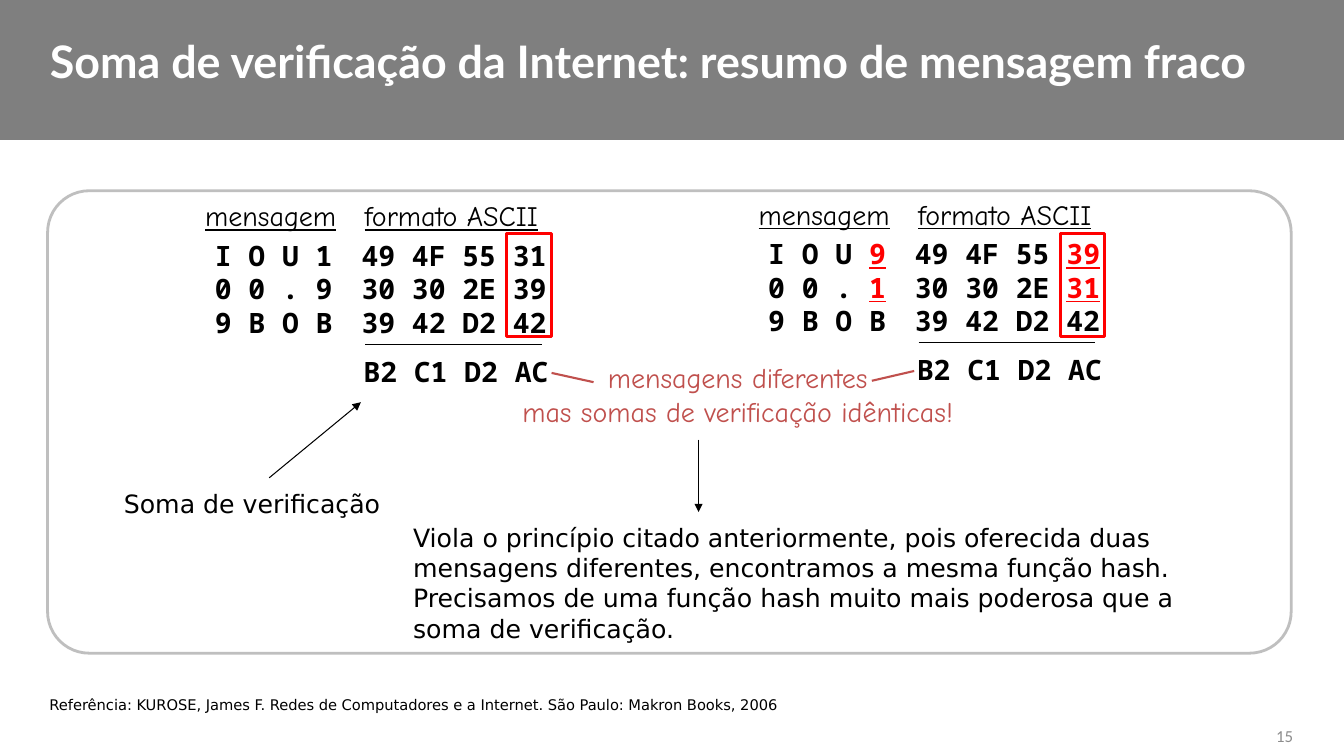
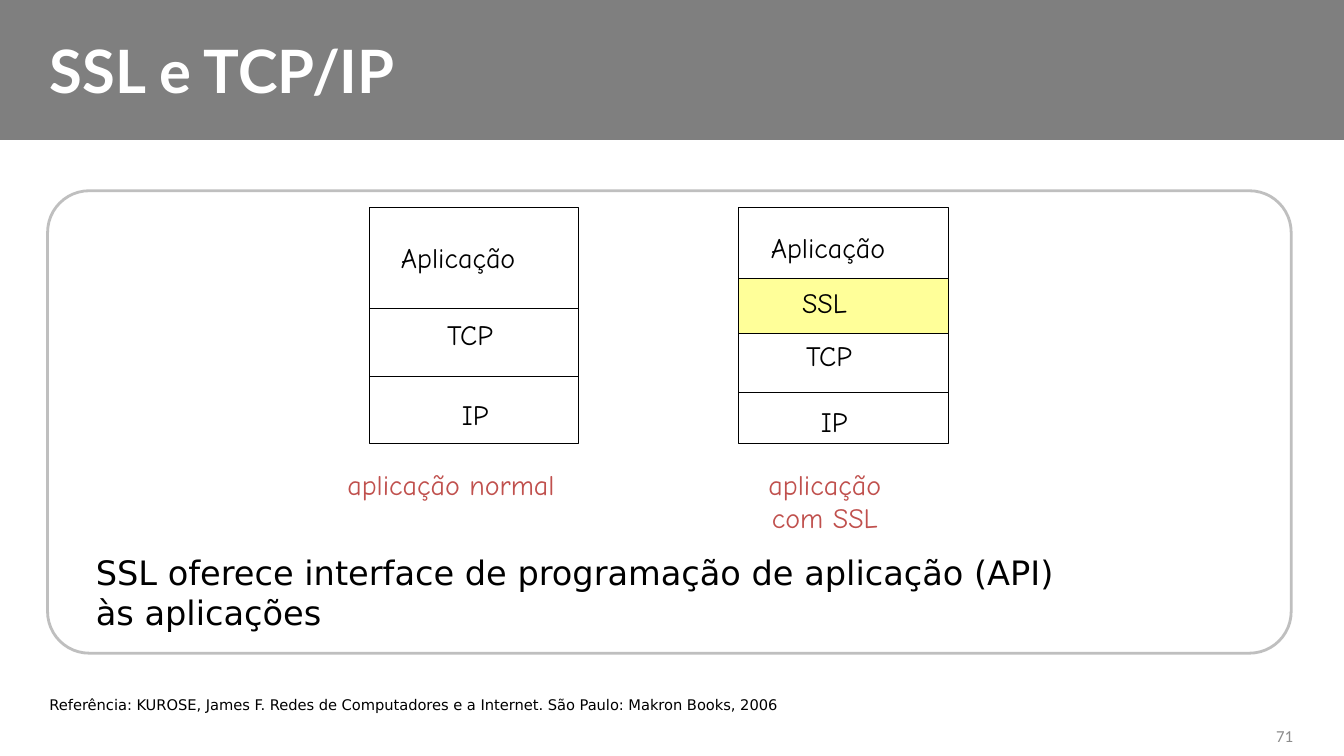
"""Build two network security slides: a weak checksum digest, and SSL over TCP/IP."""
from dataclasses import dataclass
from typing import Any, NamedTuple, Optional

from lxml import etree
from pptx import Presentation
from pptx import util as u
from pptx.dml.color import RGBColor
from pptx.enum import shapes, text
from pptx.oxml import ns

BLACK, WHITE, RED, BRICK = "000000", "FFFFFF", "FF0000", "C0504D"
BAND, FRAME, MUTED, YELLOW = "7F7F7F", "BFBFBF", "8C8C8C", "FFFF99"
SANS, HAND, MONO, TITLE, NUMBER = "DejaVu Sans", "Comic Neue", "Noto Sans Mono", "Lato", "Calibri"
LEFT, CENTER, RIGHT = text.PP_ALIGN.LEFT, text.PP_ALIGN.CENTER, text.PP_ALIGN.RIGHT
REFERENCE = ("Referência: KUROSE, James F. Redes de Computadores e a Internet. "
             "São Paulo: Makron Books, 2006")


class Place(NamedTuple):
    """A rectangle in points."""
    left: float
    top: float
    width: float
    height: float


class Stroke(NamedTuple):
    """A straight line in points, with its colour and arrowhead."""
    x1: float
    y1: float
    x2: float
    y2: float
    color: str = BLACK
    weight: float = 0.75
    arrow: bool = False


@dataclass
class Example:
    """A message with its ASCII codes; text after a bar is marked."""
    left: float
    top: float
    letters: str
    codes: str


@dataclass
class Layer:
    """A protocol layer and the centre and top of its label."""
    name: str
    height: float
    center: float
    label_top: float
    fill: Optional[str] = None


@dataclass
class Stack:
    """A protocol stack with its caption."""
    left: float
    layers: list[Layer]
    caption: str
    caption_center: float


EXAMPLES = [
    Example(139, 138.4, "I O U 1\n0 0 . 9\n9 B O B",
            "49 4F 55 31\n30 30 2E 39\n39 42 D2 42"),
    Example(534.3, 137.2, "I O U |9\n0 0 . |1\n9 B O B",
            "49 4F 55 |39\n30 30 2E |31\n39 42 D2 42"),
]

STROKES = [
    Stroke(424, 273, 394, 266.4, BRICK, 1.5),
    Stroke(622.8, 272, 653, 265, BRICK, 1.5),
    Stroke(192.3, 341.3, 257.8, 287.3, arrow=True),
    Stroke(499, 314, 499, 365.8, arrow=True),
]

STACKS = [
    Stack(263.8, [Layer("Aplicação", 72, 327.3, 168.2),
                  Layer("TCP", 48.5, 335.8, 223.2),
                  Layer("IP", 48, 339.5, 280.4)], "aplicação normal", 322.2),
    Stack(527.8, [Layer("Aplicação", 50.8, 591.5, 161.3),
                  Layer("SSL", 39.4, 589, 200.2, YELLOW),
                  Layer("TCP", 41.8, 592.2, 238.3),
                  Layer("IP", 36.5, 596, 285.1)], "aplicação\ncom SSL", 589.2),
]


def paint(target: Any, color: str) -> None:
    """Set a solid colour on a fill."""
    target.solid()
    target.fore_color.rgb = RGBColor.from_string(color)


def fill_text(frame: Any, content: str, *, size: float = 20, font: str = SANS,
              color: str = BLACK, bold: bool = False, underline: bool = False,
              align: Any = LEFT) -> None:
    """Write one paragraph per line, marking what follows a bar."""
    for index, line in enumerate(content.split("\n")):
        para = frame.add_paragraph() if index else frame.paragraphs[0]
        para.alignment = align
        para.space_before = u.Pt(0)
        plain, _, marked = line.partition("|")
        for words, hue, lined in ((plain, color, underline), (marked, RED, True)):
            if words:
                span = para.add_run()
                span.text = words
                span.font.size = u.Pt(size)
                span.font.name = font
                span.font.bold = bold
                span.font.underline = lined
                paint(span.font.fill, hue)


def add_text(group: Any, place: Place, content: str, *, wrap: bool = False,
             anchor: Any = text.MSO_ANCHOR.TOP, **style: Any) -> None:
    """Add a text box."""
    box = group.add_textbox(*map(u.Pt, place))
    frame = box.text_frame
    frame.word_wrap = wrap
    frame.auto_size = text.MSO_AUTO_SIZE.NONE if wrap else text.MSO_AUTO_SIZE.SHAPE_TO_FIT_TEXT
    frame.vertical_anchor = anchor
    fill_text(frame, content, **style)


def add_box(group: Any, place: Place, *, fill: Optional[str] = None,
            line: Optional[str] = None, weight: float = 0.75,
            kind: Any = shapes.MSO_SHAPE.RECTANGLE) -> Any:
    """Add a preset shape with optional fill and outline."""
    box = group.add_shape(kind, *map(u.Pt, place))
    box.shadow.inherit = False
    if fill:
        paint(box.fill, fill)
    else:
        box.fill.background()
    if line:
        paint(box.line.fill, line)
        box.line.width = u.Pt(weight)
    else:
        box.line.fill.background()
    return box


def add_stroke(group: Any, stroke: Stroke) -> None:
    """Add a straight connector."""
    ends = map(u.Pt, stroke[:4])
    connector = group.add_connector(shapes.MSO_CONNECTOR.STRAIGHT, *ends)
    paint(connector.line.fill, stroke.color)
    connector.line.width = u.Pt(stroke.weight)
    properties = connector.element.spPr
    if stroke.arrow:
        outline = properties.find(ns.qn("a:ln"))
        etree.SubElement(outline, ns.qn("a:tailEnd"), type="triangle")
    etree.SubElement(properties, ns.qn("a:effectLst"))


def add_page(deck: Any, title: str, size: float, number: int) -> Any:
    """Add a slide with the shared band, frame, title and footer."""
    page = deck.slides.add_slide(deck.slide_layouts[5])
    heading = page.shapes.title
    heading.left, heading.top, heading.width, heading.height = map(
        u.Pt, Place(0, 20.2, 960, 67.7))
    frame = heading.text_frame
    frame.word_wrap = True
    frame.auto_size = text.MSO_AUTO_SIZE.NONE
    frame.vertical_anchor = text.MSO_ANCHOR.TOP
    frame.margin_left = u.Pt(35.7)
    fill_text(frame, title, size=size, font=TITLE, color=WHITE, bold=True)
    band = add_box(page.shapes, Place(0, 0, 960, 100), fill=BAND)
    heading.element.addprevious(band.element)
    border = add_box(page.shapes, Place(34, 136.3, 888.3, 330.3), line=FRAME, weight=2,
                     kind=shapes.MSO_SHAPE.ROUNDED_RECTANGLE)
    border.adjustments[0] = 0.09
    add_text(page.shapes, Place(28.3, 493.5, 563.8, 20), REFERENCE, wrap=True, size=10.5)
    add_text(page.shapes, Place(714.8, 511.2, 216, 28.8), str(number), wrap=True,
             anchor=text.MSO_ANCHOR.MIDDLE, size=12, font=NUMBER, color=MUTED, align=RIGHT)
    return page


def draw_example(group: Any, example: Example) -> None:
    """Draw a message, its codes and its checksum."""
    left, top = example.left, example.top
    mono = dict(font=MONO, bold=True, align=CENTER)
    header = dict(font=HAND, underline=True)
    add_text(group, Place(left, top, 108.7, 31), "mensagem", align=CENTER, **header)
    add_text(group, Place(left + 114.4, top, 158.4, 31), "formato ASCII", **header)
    add_text(group, Place(left + 1.5, top + 28.2, 110, 79.2), example.letters, **mono)
    add_text(group, Place(left + 105.4, top + 28.2, 160, 79.2), example.codes, **mono)
    add_text(group, Place(left + 106.8, top + 111, 160, 31), "B2 C1 D2 AC", **mono)
    add_stroke(group, Stroke(left + 121.8, top + 107.7, left + 248.2, top + 107.7))
    add_box(group, Place(left + 223.1, 166.8, 31.7, 73.4), line=RED, weight=2)


def draw_stack(group: Any, stack: Stack) -> None:
    """Draw the layers from top to bottom, then the caption."""
    top = 148.3
    for layer in stack.layers:
        add_box(group, Place(stack.left, top, 149.6, layer.height),
                fill=layer.fill, line=BLACK)
        add_text(group, Place(layer.center - 51, layer.label_top, 102, 31), layer.name,
                 font=HAND, align=CENTER)
        top += layer.height
    add_text(group, Place(stack.caption_center - 85, 330.1, 170, 31), stack.caption,
             font=HAND, color=BRICK, align=CENTER)


def build_checksum(deck: Any) -> None:
    """Build the slide on the weak checksum."""
    page = add_page(deck, "Soma de verificação da Internet: resumo de mensagem fraco", 32, 15)
    for example in EXAMPLES:
        draw_example(page.shapes, example)
    add_text(page.shapes, Place(354.6, 254.2, 344.9, 55.4),
             "mensagens diferentes\nmas somas de verificação idênticas!",
             font=HAND, color=BRICK, align=CENTER)
    add_text(page.shapes, Place(81.4, 345.3, 198.7, 28.8), "Soma de verificação", size=18)
    add_text(page.shapes, Place(288, 369.4, 594.7, 94.3),
             "Viola o princípio citado anteriormente, pois oferecida duas mensagens "
             "diferentes, encontramos a mesma função hash.\nPrecisamos de uma função hash "
             "muito mais poderosa que a soma de verificação.", wrap=True, size=18)
    for stroke in STROKES:
        add_stroke(page.shapes, stroke)


def build_ssl(deck: Any) -> None:
    """Build the slide comparing protocol stacks."""
    page = add_page(deck, "SSL e TCP/IP", 42.7, 71)
    for stack in STACKS:
        draw_stack(page.shapes.add_group_shape().shapes, stack)
    add_text(page.shapes, Place(61.4, 390.6, 722.2, 65.5),
             "SSL oferece interface de programação de aplicação (API) às aplicações",
             wrap=True, size=24)


def main() -> None:
    """Build and save the deck."""
    deck = Presentation()
    deck.slide_width, deck.slide_height = u.Pt(960), u.Pt(540)
    build_checksum(deck)
    build_ssl(deck)
    deck.save("out.pptx")


if __name__ == "__main__":
    main()
